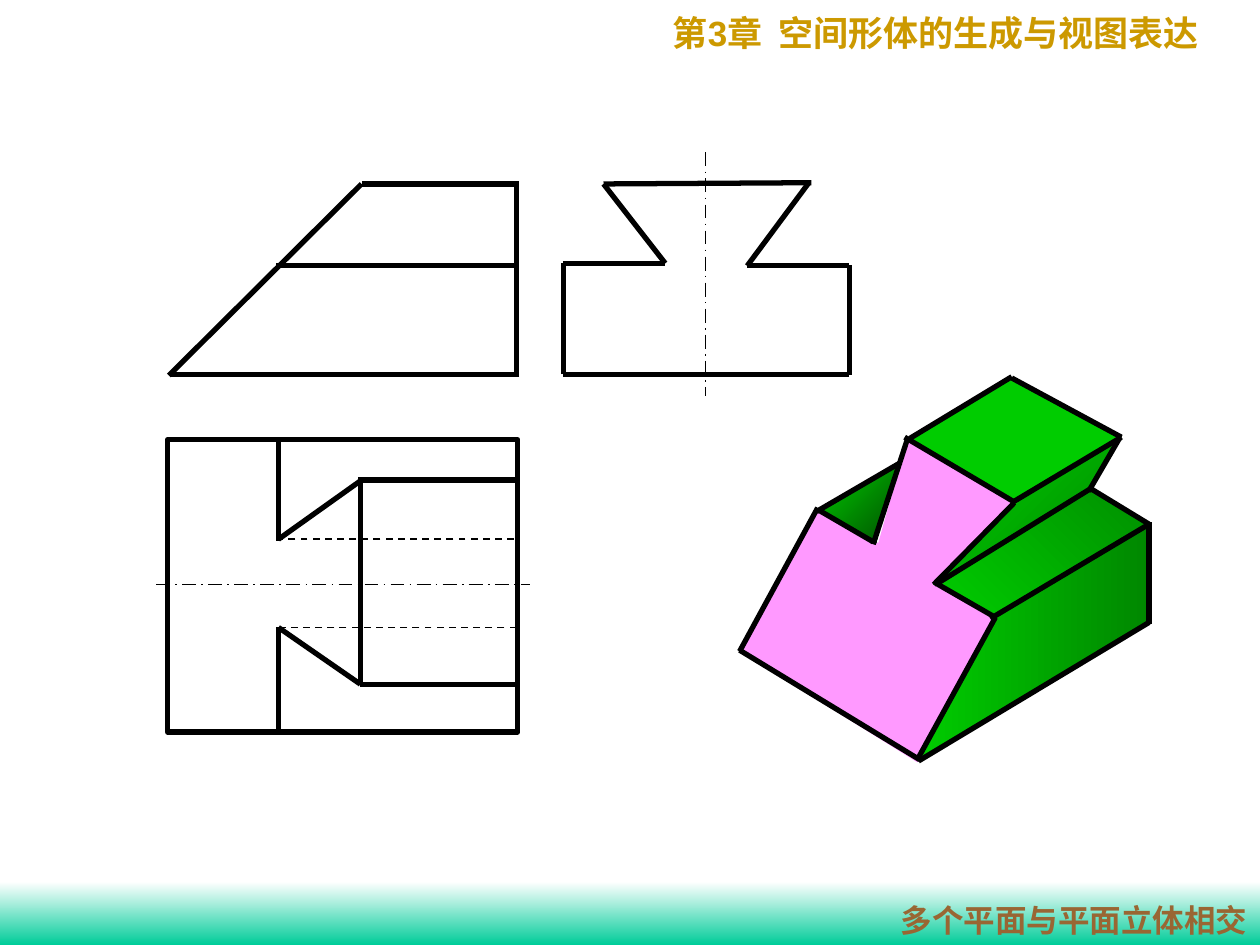
from dataclasses import dataclass
from typing import Optional

import lxml.etree
import pptx
import pptx.dml.color
import pptx.enum.dml
import pptx.enum.shapes
import pptx.enum.text
import pptx.oxml.ns
import pptx.util

Inches = pptx.util.Inches
Pt = pptx.util.Pt
Dash = pptx.enum.dml.MSO_LINE

COLORS = {
    "black": "000000", "white": "FFFFFF", "teal": "00CC99",
    "gold": "CC9900", "brown": "996633", "pink": "FF99FF",
    "green": "00CC00", "notch": "004F00", "dovetail": "008B00",
    "side": "008700", "ledge": "008F00",
}


@dataclass(frozen=True)
class Face:
    """A face of the solid; the angle is given clockwise in degrees."""
    points: tuple
    colors: tuple
    angle: float = 0
    outlined: bool = False


@dataclass(frozen=True)
class Segment:
    x1: float
    y1: float
    x2: float
    y2: float
    width: float = 3
    dash: Optional[Dash] = None


FACES = [
    Face(((6.48, 4.06), (6.97, 4.31), (7.2, 3.49), (8.06, 3.99), (7.41, 4.62),
          (7.91, 4.91), (7.28, 6.05), (5.87, 5.17)), ("pink",)),
    Face(((6.49, 4.06), (6.95, 4.32), (7.13, 3.68)), ("notch", "green"), 225),
    Face(((7.2, 3.49), (8.06, 3.99), (8.9, 3.48), (8.03, 3)), ("green",), outlined=True),
    Face(((8.06, 3.98), (7.41, 4.64), (8.65, 3.89), (8.9, 3.46)),
         ("dovetail", "green"), 225),
    Face(((7.89, 4.89), (7.29, 6.04), (9.13, 4.93), (9.13, 4.16)),
         ("side", "green"), 180),
    Face(((7.45, 4.62), (8.66, 3.88), (9.13, 4.16), (7.87, 4.9)),
         ("ledge", "green"), 135),
]

SOLID_EDGES = [
    Segment(8.03, 3, 8.9, 3.47),
    Segment(8.03, 2.99, 7.22, 3.48),
    Segment(9.12, 4.94, 7.29, 6.04),
    Segment(9.12, 4.95, 9.12, 4.14),
    Segment(9.12, 4.16, 8.66, 3.88),
    Segment(8.9, 3.47, 8.03, 3.99),
    Segment(9.12, 4.16, 7.86, 4.91),
    Segment(8.06, 3.99, 7.18, 3.47),
    Segment(8.64, 3.9, 8.89, 3.47),
    Segment(8.67, 3.87, 7.44, 4.63),
    Segment(7.43, 4.63, 7.9, 4.9),
    Segment(7.9, 4.9, 7.28, 6.03),
    Segment(8.05, 3.99, 7.41, 4.64),
    Segment(7.2, 3.49, 6.93, 4.32),
    Segment(6.5, 4.05, 6.93, 4.3),
    Segment(6.48, 4.06, 7.15, 3.67),
    Segment(7.3, 6.03, 5.87, 5.16),
    Segment(6.49, 4.03, 5.87, 5.17),
]

SIDE_VIEW = [
    Segment(5.6, 1.21, 5.6, 3.14, 1, Dash.LONG_DASH_DOT),
    Segment(4.47, 2.97, 6.74, 2.97),
    Segment(4.79, 1.46, 6.44, 1.45),
    Segment(4.47, 2.97, 4.47, 2.09),
    Segment(6.74, 2.98, 6.74, 2.1),
    Segment(4.47, 2.09, 5.28, 2.09),
    Segment(5.93, 2.11, 6.74, 2.11),
    Segment(5.28, 2.09, 4.79, 1.46),
    Segment(5.93, 2.11, 6.42, 1.45),
]

FRONT_VIEW = [
    Segment(4.12, 2.97, 1.35, 2.97),
    Segment(4.1, 2.96, 4.1, 1.44),
    Segment(4.1, 1.46, 2.87, 1.46),
    Segment(2.87, 1.46, 1.34, 2.98),
    Segment(4.1, 2.11, 2.19, 2.11),
]

TOP_VIEW = [
    Segment(1.24, 4.64, 4.21, 4.64, 1, Dash.LONG_DASH_DOT),
    Segment(4.08, 4.28, 2.21, 4.28, 1, Dash.DASH),
    Segment(4.1, 4.98, 2.23, 4.98, 1, Dash.DASH),
    Segment(4.1, 3.81, 2.84, 3.81),
    Segment(4.1, 5.43, 2.86, 5.43),
    Segment(2.86, 3.81, 2.86, 5.43),
    Segment(2.21, 4.28, 2.87, 3.81),
    Segment(2.21, 4.98, 2.86, 5.43),
    Segment(2.21, 3.48, 2.21, 4.29),
    Segment(2.21, 4.98, 2.21, 5.81),
]


def rgb(name: str) -> pptx.dml.color.RGBColor:
    return pptx.dml.color.RGBColor.from_string(COLORS[name])


def set_line(line, width: float) -> None:
    line.color.rgb = rgb("black")
    line.width = Pt(width)


def set_fill(fill, colors: tuple, angle: float) -> None:
    """Fill with one colour, or with a gradient between two."""
    if len(colors) == 1:
        fill.solid()
        fill.fore_color.rgb = rgb(colors[0])
        return
    fill.gradient()
    fill.gradient_angle = 360 - angle  # counted anticlockwise
    for stop, color in zip(fill.gradient_stops, colors):
        stop.color.rgb = rgb(color)


def draw_face(slide, face: Face) -> None:
    start, *others = [(Inches(x), Inches(y)) for x, y in face.points]
    builder = slide.shapes.build_freeform(*start)
    builder.add_line_segments(others, close=True)
    shape = builder.convert_to_shape()
    shape.shadow.inherit = False
    set_fill(shape.fill, face.colors, face.angle)
    if face.outlined:
        set_line(shape.line, 1)
    else:
        shape.line.fill.background()


def draw_segment(slide, segment: Segment) -> None:
    ends = (segment.x1, segment.y1, segment.x2, segment.y2)
    connector = slide.shapes.add_connector(
        pptx.enum.shapes.MSO_CONNECTOR.STRAIGHT, *map(Inches, ends))
    set_line(connector.line, segment.width)
    if segment.dash is not None:
        connector.line.dash_style = segment.dash
    properties = connector._element.spPr
    lxml.etree.SubElement(properties, pptx.oxml.ns.qn("a:effectLst"))


def draw_rectangle(slide, left: float, top: float, width: float, height: float):
    shape = slide.shapes.add_shape(
        pptx.enum.shapes.MSO_SHAPE.RECTANGLE, *map(Inches, (left, top, width, height)))
    shape.shadow.inherit = False
    return shape


def write_text(shape, text: str, size: float, color: str, alignment, wrap: bool) -> None:
    frame = shape.text_frame
    frame_format = {
        "word_wrap": wrap,
        "auto_size": pptx.enum.text.MSO_AUTO_SIZE.NONE,
        "vertical_anchor": pptx.enum.text.MSO_ANCHOR.TOP,
    }
    for name, value in frame_format.items():
        setattr(frame, name, value)
    paragraph = frame.paragraphs[0]
    paragraph.alignment = alignment
    # Latin digits are set in Arial, Chinese text in Times New Roman.
    for part in text.split("|"):
        run = paragraph.add_run()
        run.text = part
        font_name = "Arial" if part.isdigit() else "Times New Roman"
        font_format = {"name": font_name, "size": Pt(size), "bold": True}
        for name, value in font_format.items():
            setattr(run.font, name, value)
        run.font.color.rgb = rgb(color)


def main() -> None:
    presentation = pptx.Presentation()
    presentation.slide_width, presentation.slide_height = Inches(10), Inches(7.5)
    slide = presentation.slides.add_slide(presentation.slide_layouts[5])

    footer_band = draw_rectangle(slide, 0, 7, 10, 0.5)
    set_fill(footer_band.fill, ("white", "teal"), 90)
    footer_band.line.fill.background()

    title = slide.shapes.title
    title_place = {"left": 5.24, "top": 0.04, "width": 4.49, "height": 0.77}
    for name, value in title_place.items():
        setattr(title, name, Inches(value))
    write_text(title, "第|3|章  空间形体的生成与视图表达", 20, "gold",
               pptx.enum.text.PP_ALIGN.LEFT, True)

    for face in FACES:
        draw_face(slide, face)
    top_outline = draw_rectangle(slide, 1.33, 3.49, 2.78, 2.32)
    top_outline.fill.background()
    set_line(top_outline.line, 3)
    for segment in SOLID_EDGES + SIDE_VIEW + FRONT_VIEW + TOP_VIEW:
        draw_segment(slide, segment)

    caption = slide.shapes.add_textbox(*map(Inches, (7.05, 7.1, 2.95, 0.4)))
    write_text(caption, "多个平面与平面立体相交", 18, "brown",
               pptx.enum.text.PP_ALIGN.CENTER, False)
    presentation.save("out.pptx")


if __name__ == "__main__":
    main()
